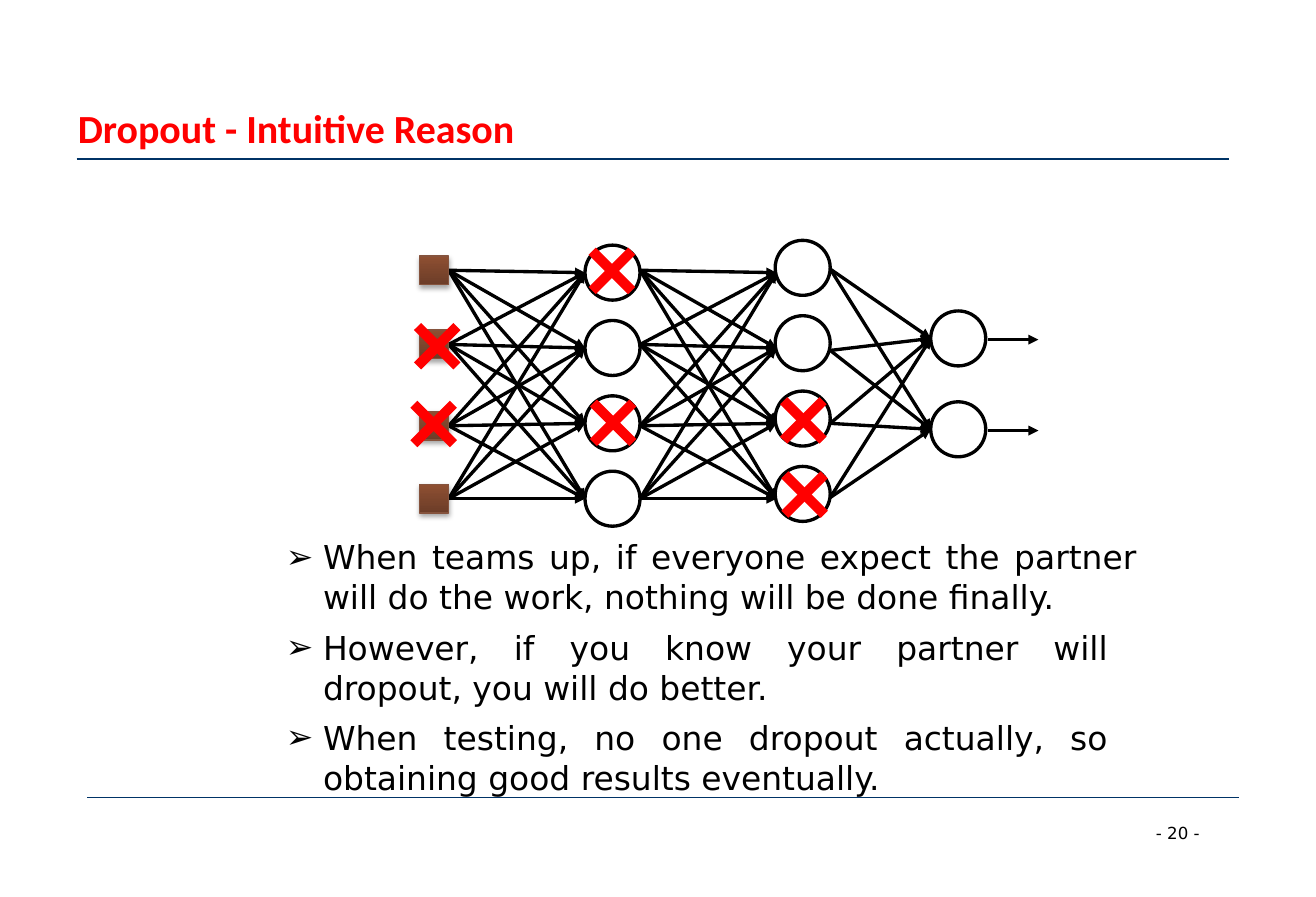
"""Builds the slide on the intuition behind dropout."""
import itertools

import lxml.etree
import pptx
import pptx.dml.color
import pptx.enum.shapes
import pptx.enum.text
import pptx.oxml
import pptx.oxml.ns
import pptx.util

RGB = pptx.dml.color.RGBColor
SHAPE = pptx.enum.shapes.MSO_SHAPE
ALIGN = pptx.enum.text.PP_ALIGN
ANCHOR = pptx.enum.text.MSO_ANCHOR
BLACK = RGB(0x00, 0x00, 0x00)
RED = RGB(0xFF, 0x00, 0x00)
NAVY = RGB(0x00, 0x33, 0x66)
BROWN_DARK = RGB(0x6C, 0x3D, 0x28)
BROWN_LIGHT = RGB(0x8E, 0x4F, 0x32)
BROWN_LINE = RGB(0x85, 0x53, 0x3D)
PX = 9144
SHADOW = (
    '<a:effectLst %s><a:outerShdw blurRad="39370" dist="22860" dir="5400000" rotWithShape="0">'
    '<a:srgbClr val="000000"><a:alpha val="35000"/></a:srgbClr></a:outerShdw></a:effectLst>'
    % pptx.oxml.ns.nsdecls("a")
)


def px(*values):
    return [pptx.util.Emu(v * PX) for v in values]


def child(parent, tag, **attrs):
    return lxml.etree.SubElement(parent, pptx.oxml.ns.qn(tag), **attrs)


class Deck:
    def __init__(self, slide, font="DejaVu Sans", title_font="Calibri"):
        self.s = slide
        self.font = font
        self.title_font = title_font

    def set_text(self, sp, box, text, size, font, color=BLACK, align=ALIGN.LEFT, bold=False):
        sp.left, sp.top, sp.width, sp.height = px(*box)
        tf = sp.text_frame
        tf.text = text
        tf.auto_size = pptx.enum.text.MSO_AUTO_SIZE.NONE
        p = tf.paragraphs[0]
        p.alignment = align
        p.space_before = pptx.util.Pt(0)
        r = p.runs[0]
        r.font.size = pptx.util.Pt(size)
        r.font.name = font
        r.font.bold = bold
        r.font.color.rgb = color
        return tf

    def title(self, box, text):
        tf = self.set_text(self.s.shapes.title, box, text, 24, self.title_font, RED, bold=True)
        tf.vertical_anchor = ANCHOR.MIDDLE

    def bullet(self, idx, box, text):
        sp = self.s.placeholders[idx]
        tf = self.set_text(sp, box, text, 19.8, self.font, align=ALIGN.JUSTIFY)
        tf.vertical_anchor = ANCHOR.TOP
        pPr = tf.paragraphs[0]._p.get_or_add_pPr()
        indent = 31 * PX
        pPr.set("marL", str(indent))
        pPr.set("indent", str(-indent))
        child(pPr, "a:buChar", char="➢")

    def label(self, box, text):
        sp = self.s.shapes.add_textbox(*px(*box))
        self.set_text(sp, box, text, 10, self.font, align=ALIGN.CENTER).word_wrap = False

    def line(self, start, end, color=BLACK, width=2, arrow=False):
        c = self.s.shapes.add_connector(
            pptx.enum.shapes.MSO_CONNECTOR.STRAIGHT, *px(*start, *end))
        c.line.color.rgb = color
        c.line.width = pptx.util.Pt(width)
        if arrow:
            child(c.line._get_or_add_ln(), "a:tailEnd", type="triangle")
        child(c._element.spPr, "a:effectLst")

    def neuron(self, x, y):
        sp = self.s.shapes.add_shape(SHAPE.OVAL, *px(x, y, 46, 46))
        sp.shadow.inherit = False
        sp.fill.background()
        sp.line.color.rgb = BLACK
        sp.line.width = pptx.util.Pt(2)

    def input_node(self, x, y):
        sp = self.s.shapes.add_shape(SHAPE.RECTANGLE, *px(x, y, 24, 24))
        sp.fill.gradient()
        sp.fill.gradient_angle = 90
        for stop, color in zip(sp.fill.gradient_stops, (BROWN_DARK, BROWN_LIGHT)):
            stop.color.rgb = color
        sp.line.color.rgb = BROWN_LINE
        sp.line.width = pptx.util.Pt(0.75)
        sp._element.spPr.append(pptx.oxml.parse_xml(SHADOW))

    def cross(self, x, y, size=33):
        self.line((x, y), (x + size, y + size), RED, 6)
        self.line((x + size, y), (x, y + size), RED, 6)

    def connect(self, x1, starts, x2, ends):
        for y1, y2 in itertools.product(starts, ends):
            self.line((x1, y1), (x2, y2), arrow=True)


def main():
    prs = pptx.Presentation()
    prs.slide_width, prs.slide_height = px(1100, 750)
    s = prs.slides.add_slide(prs.slide_layouts.get_by_name("Comparison"))
    deck = Deck(s)

    for x, y in ((64, 133), (73, 667)):
        deck.line((x, y), (x + 963, y), NAVY, 0.75)
    deck.title((55, 83, 770, 48), "Dropout - Intuitive Reason")
    deck.label((951, 683, 67, 27), "- 20 -")

    hidden_ports = [228 + 63 * i for i in range(4)]
    outgoing_ports = (226, 288, 356, 417)
    output_ports = (283, 359)
    deck.connect(375, outgoing_ports, 489, hidden_ports)
    deck.connect(535, outgoing_ports, 649, hidden_ports)
    deck.connect(694, (225, 293, 354, 416), 778, output_ports)
    for y in (284, 360):
        deck.line((826, y), (868, y), arrow=True)

    for y in (214, 276, 344, 405):
        deck.input_node(351, y)
    layers = ((489, 205, 63, 4), (648, 201, 63, 4), (778, 260, 76, 2))
    for x, top, pitch, count in layers:
        for i in range(count):
            deck.neuron(x, top + pitch * i)

    dropped = ((495, 210), (496, 337), (655, 335), (656, 397), (346, 338), (349, 273))
    for x, y in dropped:
        deck.cross(x, y)

    points = (
        (444, 731, "When teams up, if everyone expect the partner will do the work, "
                   "nothing will be done finally."),
        (520, 707, "However, if you know your partner will dropout, you will do better."),
        (595, 707, "When testing, no one dropout actually, so obtaining good results eventually."),
    )
    for idx, (y, width, text) in enumerate(points, 1):
        deck.bullet(idx, (229, y, width, 77), text)

    for sp in list(s.placeholders):
        if not sp.text_frame.text:
            sp._element.getparent().remove(sp._element)
    prs.save("out.pptx")


if __name__ == "__main__":
    main()
